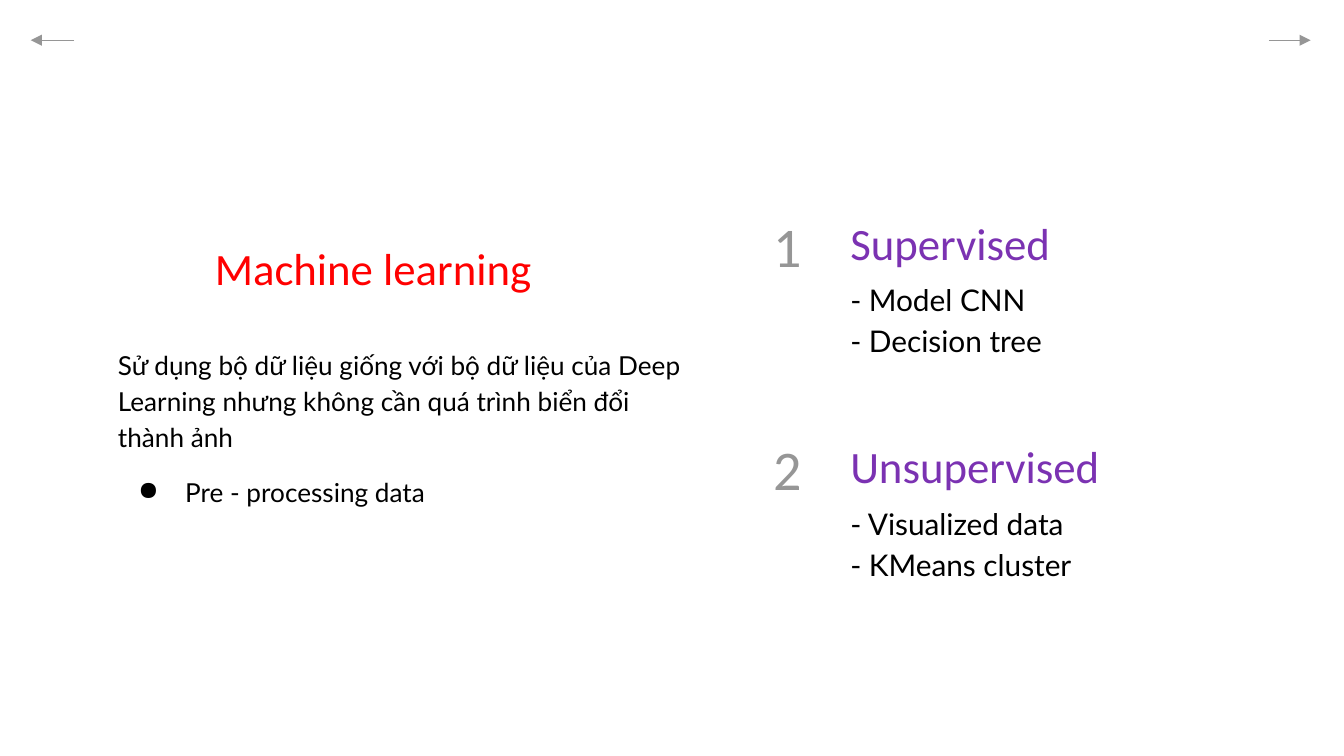
from lxml.etree import SubElement
from pptx import Presentation
from pptx.dml.color import RGBColor as Rgb
from pptx.enum.shapes import MSO_CONNECTOR as Connector, MSO_SHAPE as Shape
from pptx.enum.text import MSO_ANCHOR as Anchor, PP_ALIGN as Align
from pptx.oxml.ns import qn
from pptx.util import Cm, Pt

COLORS = {
    "title": "FF0000",
    "text": "000000",
    "gray": "969696",
    "purple": "7B32B2",
    "dark_purple": "401A5D",
}


def fill_text(box, lines, font, size, color, anchor=Anchor.TOP, spacing=None):
    frame = box.text_frame
    frame.word_wrap = True
    frame.vertical_anchor = anchor
    frame.margin_left = frame.margin_right = Cm(0.25)
    frame.margin_top = frame.margin_bottom = Cm(0.25)
    for index, line in enumerate(lines):
        para = frame.add_paragraph() if index else frame.paragraphs[0]
        if spacing:
            para.line_spacing = spacing
        span = para.add_run()
        span.text = line
        span.font.name = font
        span.font.size = Pt(size)
        span.font.color.rgb = Rgb.from_string(COLORS[color])
    return frame.paragraphs


deck = Presentation()
deck.slide_width, deck.slide_height = Cm(25.4), Cm(14.29)
page = deck.slides.add_slide(deck.slide_layouts[6])
shapes = page.shapes

description = shapes.add_textbox(Cm(1.98), Cm(6.27), Cm(11.51), Cm(5.16))
paras = fill_text(description, [
    "Sử dụng bộ dữ liệu giống với bộ dữ liệu của Deep Learning nhưng không cần quá trình biển đổi thành ảnh",
    "Pre - processing data",
], "Lato", 14, "text", spacing=1.15)
bullet_para = paras[1]
bullet_para.space_before = Pt(10)
props = bullet_para._p.get_or_add_pPr()
props.set("marL", str(Cm(1.27)))
props.set("indent", str(Cm(-0.89)))
bullet_color = SubElement(props, qn("a:buClr"))
SubElement(bullet_color, qn("a:srgbClr"), val=COLORS["text"])
SubElement(props, qn("a:buChar"), char="●")

title = shapes.add_textbox(Cm(3.81), Cm(4.19), Cm(7.85), Cm(1.63))
fill_text(title, ["Machine learning"], "Calibri", 24, "title", Anchor.BOTTOM)

sections = [
    ("Supervised", ["- Model CNN", "- Decision tree"]),
    ("Unsupervised", ["- Visualized data", "- KMeans cluster"]),
]
for index, (name, items) in enumerate(sections):
    top = Cm(3.91) + index * Cm(4.22)

    number = shapes.add_shape(Shape.OVAL, Cm(14.15), top, Cm(1.45), Cm(1.45))
    number.shadow.inherit = False
    number.fill.background()
    number.line.fill.background()
    paras = fill_text(number, [str(index + 1)], "Calibri", 30, "gray", Anchor.MIDDLE)
    paras[0].alignment = Align.CENTER

    heading = shapes.add_textbox(Cm(15.82), top + Cm(0.29), Cm(7.39), Cm(1.14))
    paras = fill_text(heading, [name], "Calibri", 24, "purple", Anchor.BOTTOM)
    fill = paras[0].runs[0].font.fill
    fill.gradient()
    fill.gradient_angle = 270
    for stop, color in zip(fill.gradient_stops, ["purple", "dark_purple"]):
        stop.color.rgb = Rgb.from_string(COLORS[color])

    details = shapes.add_textbox(Cm(15.82), top + Cm(1.07), Cm(7.39), Cm(2.9))
    fill_text(details, items, "Lato", 16, "text", spacing=1.15)

for start, end in [(23.98, 24.77), (1.4, 0.58)]:
    arrow = shapes.add_connector(Connector.STRAIGHT, Cm(start), Cm(0.76), Cm(end), Cm(0.76))
    arrow.line.color.rgb = Rgb.from_string(COLORS["gray"])
    arrow.line.width = Pt(0.75)
    SubElement(arrow.line._get_or_add_ln(), qn("a:tailEnd"), type="triangle")
    SubElement(arrow._element.spPr, qn("a:effectLst"))

deck.save("out.pptx")
